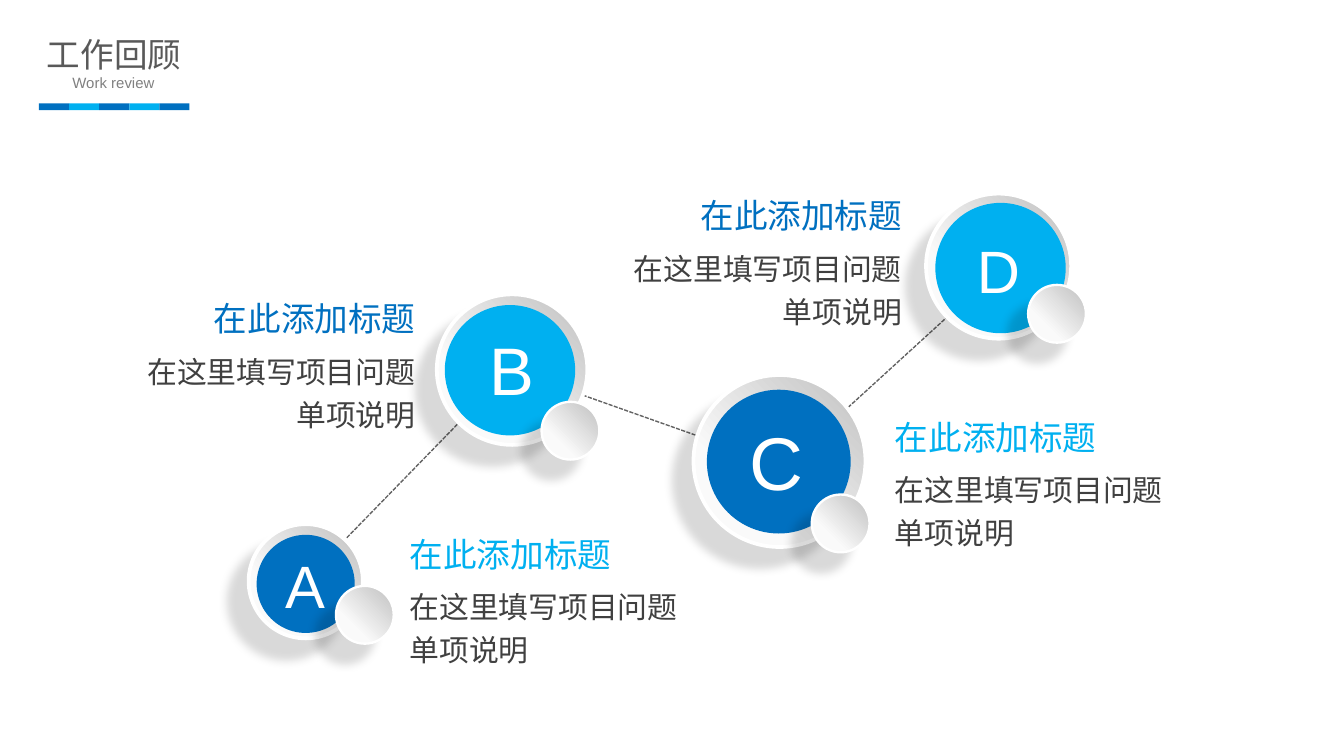
from dataclasses import dataclass
from itertools import pairwise
from typing import Any, NamedTuple

from lxml.etree import SubElement
from pptx import Presentation
from pptx.dml.color import RGBColor
from pptx.enum.dml import MSO_LINE
from pptx.enum.shapes import MSO_CONNECTOR, MSO_SHAPE
from pptx.enum.text import MSO_ANCHOR, MSO_AUTO_SIZE, PP_ALIGN
from pptx.oxml.ns import qn
from pptx.util import Inches, Pt


@dataclass(frozen=True)
class Theme:
    blue: str = "0070C0"
    cyan: str = "00B0F0"
    white: str = "FFFFFF"
    shade: str = "BFBFBF"
    light: str = "FAFAFA"
    link: str = "626262"
    body: str = "404040"
    head: str = "595959"
    sub: str = "808080"
    font: str = "Arial"
    head_pt: int = 18
    body_pt: int = 16
    sub_pt: int = 8


class Box(NamedTuple):
    left: float
    top: float
    width: float
    height: float


class Ring(NamedTuple):
    left: float
    top: float
    size: float

    def box(self) -> Box:
        return Box(self.left, self.top, self.size, self.size)


@dataclass(frozen=True)
class Node:
    mark: str
    points: int
    center: tuple[float, float]
    width: float
    color: str
    disc: Ring
    face: Ring
    dot: Ring
    edge: float
    top: float
    align: Any


THEME = Theme()
LEFT, MID, RIGHT = PP_ALIGN.LEFT, PP_ALIGN.CENTER, PP_ALIGN.RIGHT
DOT = 0.43
WIDE = Inches(10)
NODES = [
    Node("A", 32, (2.27, 4.35), 0.5, THEME.blue, Ring(1.85, 3.9, 0.85),
         Ring(1.91, 3.98, 0.73), Ring(2.5, 4.36, DOT), 2.95, 3.92, LEFT),
    Node("B", 36, (3.81, 2.74), 0.54, THEME.cyan, Ring(3.25, 2.19, 1.12),
         Ring(3.31, 2.27, 0.97), Ring(4.03, 2.99, DOT), 3.19, 2.17, RIGHT),
    Node("C", 40, (5.78, 3.43), 0.61, THEME.blue, Ring(5.16, 2.79, 1.28),
         Ring(5.26, 2.9, 1.07), Ring(6.04, 3.68, DOT), 6.56, 3.05, LEFT),
    Node("D", 32, (7.43, 2.01), 0.53, THEME.cyan, Ring(6.89, 1.44, 1.08),
         Ring(6.96, 1.51, 0.97), Ring(7.65, 2.12, DOT), 6.81, 1.4, RIGHT),
]
HUBS = [(2.27, 4.32), (3.8, 2.75), (5.83, 3.47), (7.66, 1.8)]


def apply(target: Any, values: dict[str, Any]) -> None:
    for name, value in values.items():
        setattr(target, name, value)


def tint(value: str) -> RGBColor:
    return RGBColor.from_string(value)


def add_flat(shapes: Any, kind: Any, box: Box, color: str) -> Any:
    """Add a plain filled shape with neither line nor shadow."""
    shape = shapes.add_shape(kind, *map(Inches, box))
    shape.shadow.inherit = False
    shape.fill.solid()
    shape.fill.fore_color.rgb = tint(color)
    shape.line.fill.background()
    return shape


def add_ball(shapes: Any, ring: Ring, weight: float) -> None:
    """Add a grey gradient disc with a white rim and a soft shadow."""
    ball = add_flat(shapes, MSO_SHAPE.OVAL, ring.box(), THEME.light)
    ball.fill.gradient()
    ball.fill.gradient_angle = 225
    stops = ((0, THEME.shade), (0.7, THEME.light))
    for stop, (place, color) in zip(ball.fill.gradient_stops, stops):
        stop.position = place
        stop.color.rgb = tint(color)
    ball.line.color.rgb = tint(THEME.white)
    ball.line.width = Pt(weight)
    effect = ball._element.spPr.find(qn("a:effectLst"))
    shadow = SubElement(effect, qn("a:outerShdw"), blurRad=str(Pt(5)),
                        dist=str(Pt(15)), dir="8100000", algn="tr",
                        rotWithShape="0")
    black = SubElement(shadow, qn("a:srgbClr"), val="000000")
    SubElement(black, qn("a:alpha"), val="15000")


def add_text(shapes: Any, box: Box, text: str, points: int, color: str,
             align: Any, frame: dict[str, Any] | None = None,
             space: float | None = None) -> None:
    area = shapes.add_textbox(*map(Inches, box)).text_frame
    apply(area, {"word_wrap": True,
                 "auto_size": MSO_AUTO_SIZE.SHAPE_TO_FIT_TEXT} | (frame or {}))
    line = area.paragraphs[0]
    apply(line, {"alignment": align, "line_spacing": space})
    run = line.add_run()
    run.text = text
    apply(run.font, {"name": THEME.font, "size": Pt(points)})
    run.font.color.rgb = tint(color)


def add_link(shapes: Any, start: tuple[float, float],
             end: tuple[float, float]) -> None:
    link = shapes.add_connector(MSO_CONNECTOR.STRAIGHT,
                                *map(Inches, start + end))
    link.line.color.rgb = tint(THEME.link)
    apply(link.line, {"width": Pt(0.75), "dash_style": MSO_LINE.SQUARE_DOT})
    for tag in ("a:headEnd", "a:tailEnd"):
        SubElement(link.line._get_or_add_ln(), qn(tag), type="oval")
    SubElement(link._element.spPr, qn("a:effectLst"))


def add_node(shapes: Any, node: Node) -> None:
    add_ball(shapes, node.disc, 2)

    def label(top: float, width: float, height: float) -> Box:
        shift = width if node.align == RIGHT else 0
        return Box(node.edge - shift, top, width, height)

    accent = THEME.cyan if node.color == THEME.blue else THEME.blue
    add_text(shapes, label(node.top + 0.36, 2.36, 0.75),
             "在这里填写项目问题单项说明", THEME.body_pt, THEME.body,
             node.align, space=1.2)
    add_text(shapes, label(node.top, 1.9, 0.42), "在此添加标题",
             THEME.head_pt, accent, node.align)

    add_flat(shapes, MSO_SHAPE.OVAL, node.face.box(), node.color)
    x, y = node.center
    height = node.points / 60 + 0.11
    add_text(shapes, Box(x - node.width / 2, y - height / 2, node.width, height),
             node.mark, node.points, THEME.white, MID,
             {"word_wrap": False, "vertical_anchor": MSO_ANCHOR.MIDDLE})
    add_ball(shapes, node.dot, 1.25)


def add_header(shapes: Any) -> None:
    inset = {"margin_left": Inches(0.07), "margin_right": Inches(0.07),
             "margin_top": Inches(0.04), "margin_bottom": Inches(0.04)}
    add_text(shapes, Box(0.27, 0.21, 1.16, 0.38), "工作回顾", THEME.head_pt,
             THEME.head, MID, inset | {"word_wrap": False})
    add_text(shapes, Box(-0.12, 0.5, 1.93, 0.24), "Work review",
             THEME.sub_pt, THEME.sub, MID)
    step = 1.12 / 5
    for i in range(5):
        color = THEME.cyan if i % 2 else THEME.blue
        add_flat(shapes, MSO_SHAPE.RECTANGLE,
                 Box(0.29 + i * step, 0.77, step, 0.05), color)


def main() -> None:
    deck = Presentation()
    apply(deck, {"slide_width": WIDE, "slide_height": WIDE * 9 // 16})
    shapes = deck.slides.add_slide(deck.slide_layouts[6]).shapes
    for start, end in pairwise(HUBS):
        add_link(shapes, start, end)
    for node in NODES:
        add_node(shapes, node)
    add_header(shapes)
    deck.save("out.pptx")


if __name__ == "__main__":
    main()
